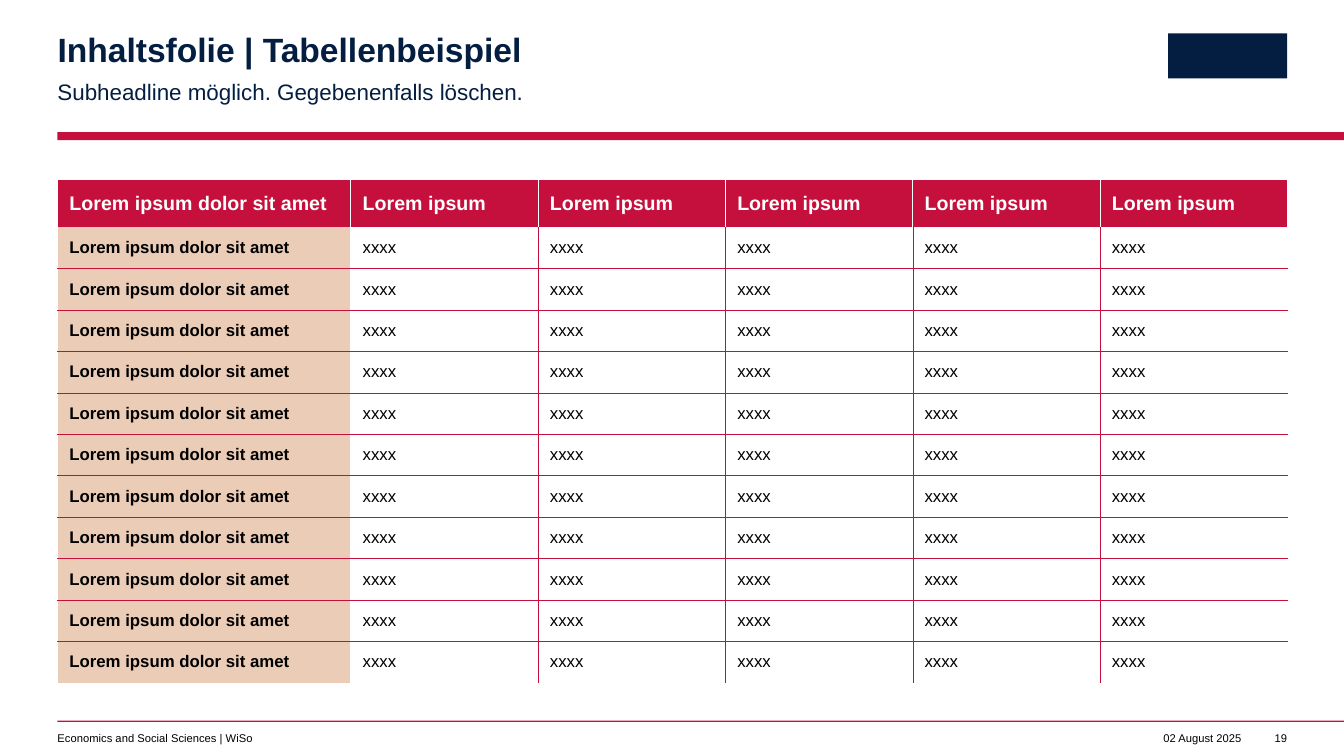
import dataclasses

import pptx
import pptx.dml.color
import pptx.enum.shapes
import pptx.enum.text
import pptx.oxml
import pptx.oxml.ns
import pptx.util

Cm = pptx.util.Cm
Pt = pptx.util.Pt
Align = pptx.enum.text.PP_ALIGN
Anchor = pptx.enum.text.MSO_ANCHOR


@dataclasses.dataclass(frozen=True)
class Theme:
    """Colours, font and type sizes of the slide."""
    red: str = "C50F3C"
    navy: str = "041E42"
    sand: str = "EBCCB7"
    white: str = "FFFFFF"
    black: str = "000000"
    font: str = "Arial"
    title: int = 24
    subtitle: int = 16
    header: int = 14
    body: int = 12
    footer: int = 8


@dataclasses.dataclass(frozen=True)
class Box:
    """A rectangle in centimetres."""
    left: float
    top: float
    width: float
    height: float

    @property
    def lengths(self):
        """Return the four sides as slide lengths."""
        return [Cm(side) for side in (self.left, self.top, self.width, self.height)]


THEME = Theme()
PAGE_WIDTH, PAGE_HEIGHT = 33.87, 19.05
MARGIN, CONTENT_WIDTH = 1.45, 30.99
HEADINGS = ["Lorem ipsum dolor sit amet"] + ["Lorem ipsum"] * 5
ROWS = [["Lorem ipsum dolor sit amet"] + ["xxxx"] * 5 for _ in range(11)]


def colour(name):
    """Turn a hexadecimal name into a colour."""
    return pptx.dml.color.RGBColor.from_string(name)


def write(frame, text, size, ink, bold=False, align=Align.LEFT, spacing=None):
    """Write one formatted paragraph into a text frame."""
    para = frame.paragraphs[0]
    para.text = text
    para.alignment = align
    para.line_spacing = spacing
    para.font.name = THEME.font
    para.font.size = Pt(size)
    para.font.bold = bold
    para.font.color.rgb = colour(ink)


def clear_margins(frame):
    """Make a text frame wrap at its edges and start at its top."""
    frame.margin_left = frame.margin_right = frame.margin_top = frame.margin_bottom = 0
    frame.word_wrap = True
    frame.auto_size = pptx.enum.text.MSO_AUTO_SIZE.NONE
    frame.vertical_anchor = Anchor.TOP


def add_text(page, box, text, size, ink, **style):
    """Add a text box without margins."""
    frame = page.shapes.add_textbox(*box.lengths).text_frame
    clear_margins(frame)
    write(frame, text, size, ink, **style)


def add_block(page, box, fill):
    """Add a plain filled rectangle."""
    block = page.shapes.add_shape(pptx.enum.shapes.MSO_SHAPE.RECTANGLE, *box.lengths)
    block.shadow.inherit = False
    block.fill.solid()
    block.fill.fore_color.rgb = colour(fill)
    block.line.fill.background()


def add_head(page, box):
    """Place the title, subheadline, emblem block and red bar."""
    title = page.shapes.title
    title.left, title.top, title.width, title.height = Box(box.left, box.top, 19.02, 0.91).lengths
    clear_margins(title.text_frame)
    write(title.text_frame, "Inhaltsfolie | Tabellenbeispiel", THEME.title, THEME.navy,
          bold=True, spacing=0.9)
    add_text(page, Box(box.left, box.top + 1.07, 18.03, 0.69),
             "Subheadline möglich. Gegebenenfalls löschen.", THEME.subtitle, THEME.navy,
             spacing=1.1)
    add_block(page, Box(box.left + box.width - 3, box.top, 3, 1.14), THEME.navy)
    add_block(page, Box(box.left, box.top + box.height - 0.2, PAGE_WIDTH - box.left, 0.2),
              THEME.red)


def column_edge(row, edge, columns):
    """Return colour and width of a vertical border."""
    if edge in (0, columns):
        return THEME.white, 1
    if row == 0:
        return THEME.white, 0.5
    return (THEME.white, 1) if edge == 1 else (THEME.red, 0.25)


def row_edge(edge, rows):
    """Return colour and width of a horizontal border, or None."""
    if edge == 0:
        return THEME.white, 1
    return None if edge in (1, rows) else (THEME.red, 0.25)


def add_border(cell, side, style):
    """Draw one border of a cell, or hide it when there is no style."""
    namespace = pptx.oxml.ns.nsdecls("a")
    if style:
        ink, points = style
        width = Pt(points)
        fill = f'<a:solidFill><a:srgbClr val="{ink}"/></a:solidFill>'
    else:
        width, fill = 0, "<a:noFill/>"
    cell._tc.get_or_add_tcPr().append(pptx.oxml.parse_xml(
        f'<a:{side} {namespace} w="{width}">{fill}</a:{side}>'))


def format_cell(cell, row, column, rows, columns):
    """Set the borders, fill and margins of a cell."""
    add_border(cell, "lnL", column_edge(row, column, columns))
    add_border(cell, "lnR", column_edge(row, column + 1, columns))
    add_border(cell, "lnT", row_edge(row, rows))
    add_border(cell, "lnB", row_edge(row + 1, rows))
    if row == 0 or column == 0:
        cell.fill.solid()
        cell.fill.fore_color.rgb = colour(THEME.sand if row else THEME.red)
    else:
        cell.fill.background()
    cell.vertical_anchor = Anchor.MIDDLE
    cell.margin_left = cell.margin_right = Cm(0.3)
    cell.margin_top = cell.margin_bottom = Cm(0.1)


def add_grid(page, box, first_width=7.39, header_height=1.19):
    """Place the table with a heading row and a label column."""
    content = [HEADINGS] + ROWS
    rows, columns = len(content), len(HEADINGS)
    table = page.shapes.add_table(rows, columns, *box.lengths).table
    table.horz_banding = False
    for index, column in enumerate(table.columns):
        column.width = Cm((box.width - first_width) / (columns - 1) if index else first_width)
    for index, row in enumerate(table.rows):
        row.height = Cm((box.height - header_height) / (rows - 1) if index else header_height)
    for row, texts in enumerate(content):
        for column, text in enumerate(texts):
            cell = table.cell(row, column)
            format_cell(cell, row, column, rows, columns)
            write(cell.text_frame, text, THEME.body if row else THEME.header,
                  THEME.black if row else THEME.white, bold=row == 0 or column == 0)


def add_foot(page, box):
    """Place the thin line, department, date and page number."""
    add_block(page, Box(box.left, box.top, PAGE_WIDTH - box.left, 0.03), THEME.red)
    top, right = box.top + 0.28, box.left + box.width
    add_text(page, Box(box.left, top, 15.19, 0.33), "Economics and Social Sciences | WiSo",
             THEME.footer, THEME.black)
    for text, end, width in (("02 August 2025", right - 1.15, 2.5), ("19", right, 0.6)):
        add_text(page, Box(end - width, top, width, 0.33), text, THEME.footer, THEME.black,
                 align=Align.RIGHT)


def main():
    """Build the deck and save it."""
    deck = pptx.Presentation()
    deck.slide_width, deck.slide_height = Cm(PAGE_WIDTH), Cm(PAGE_HEIGHT)
    page = deck.slides.add_slide(deck.slide_layouts.get_by_name("Title Only"))
    add_head(page, Box(MARGIN, 0.84, CONTENT_WIDTH, 2.69))
    add_grid(page, Box(MARGIN, 4.53, CONTENT_WIDTH, 12.68))
    add_foot(page, Box(MARGIN, 18.16, CONTENT_WIDTH, 0.61))
    deck.save("out.pptx")


if __name__ == "__main__":
    main()
